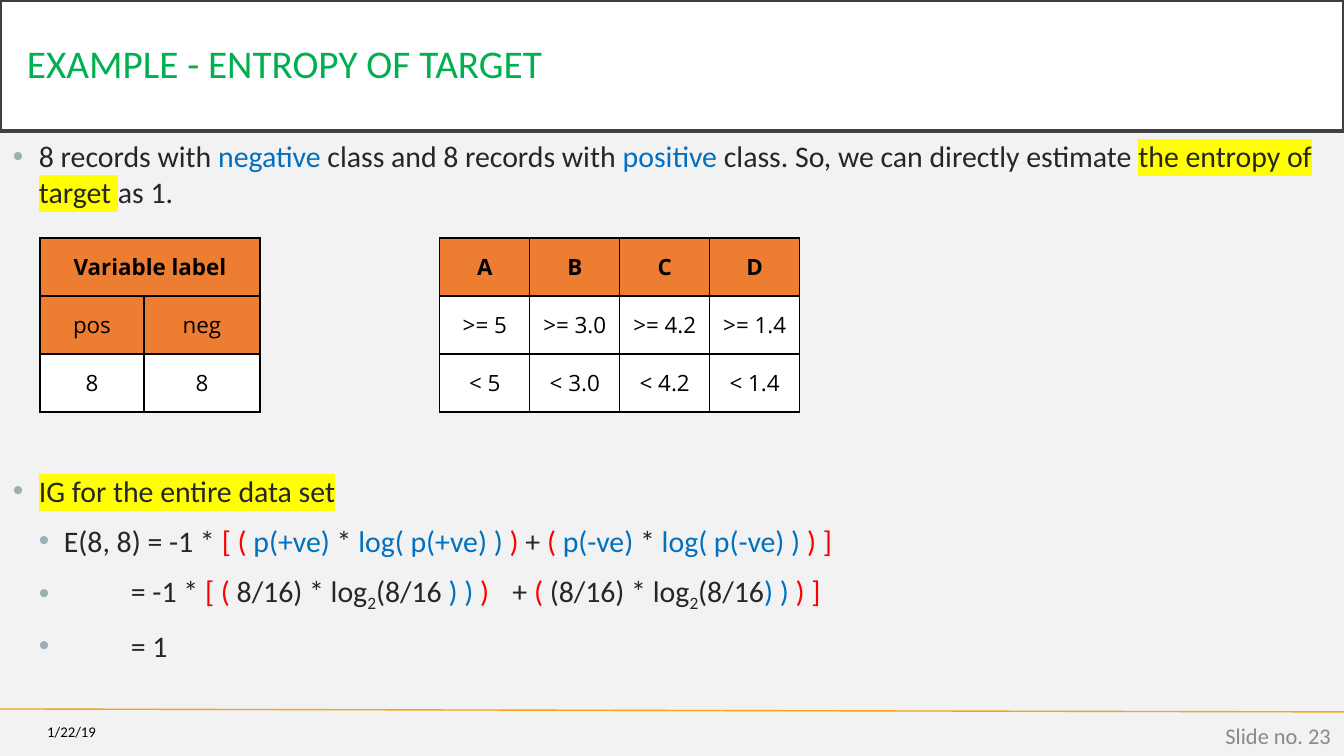
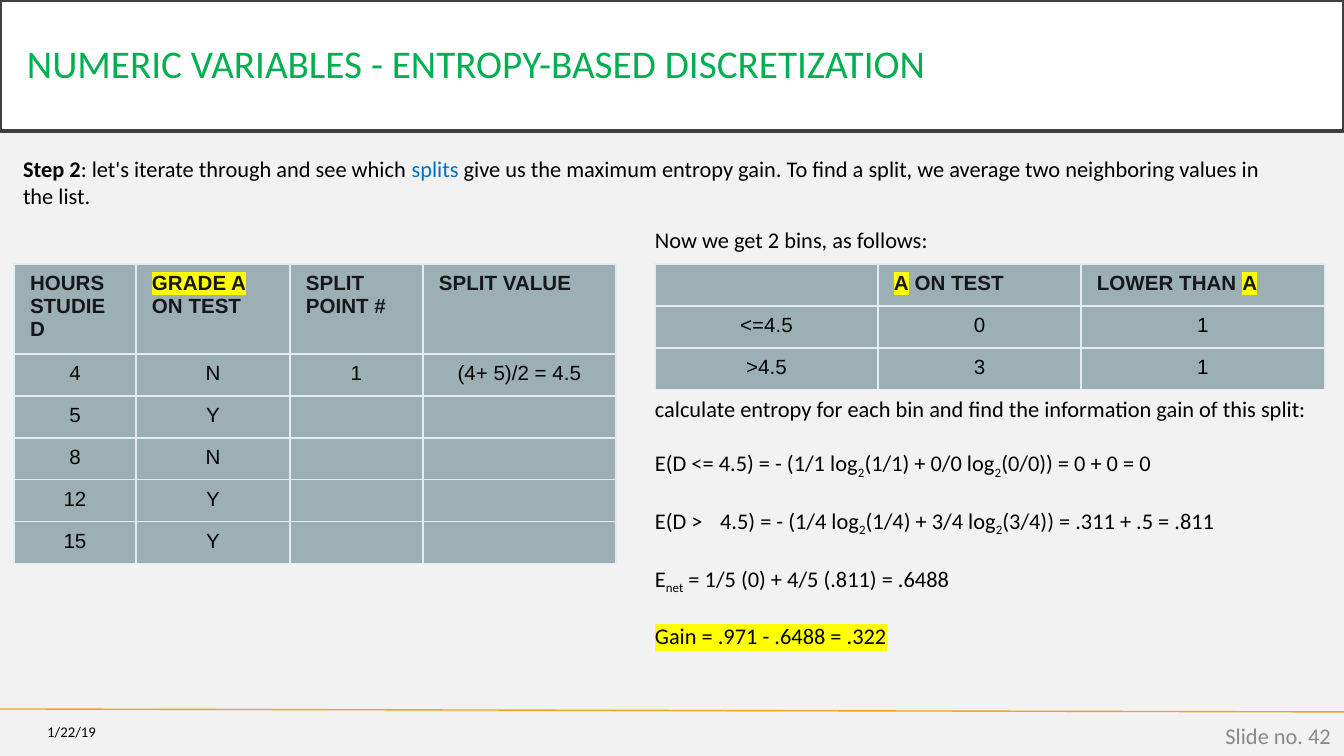
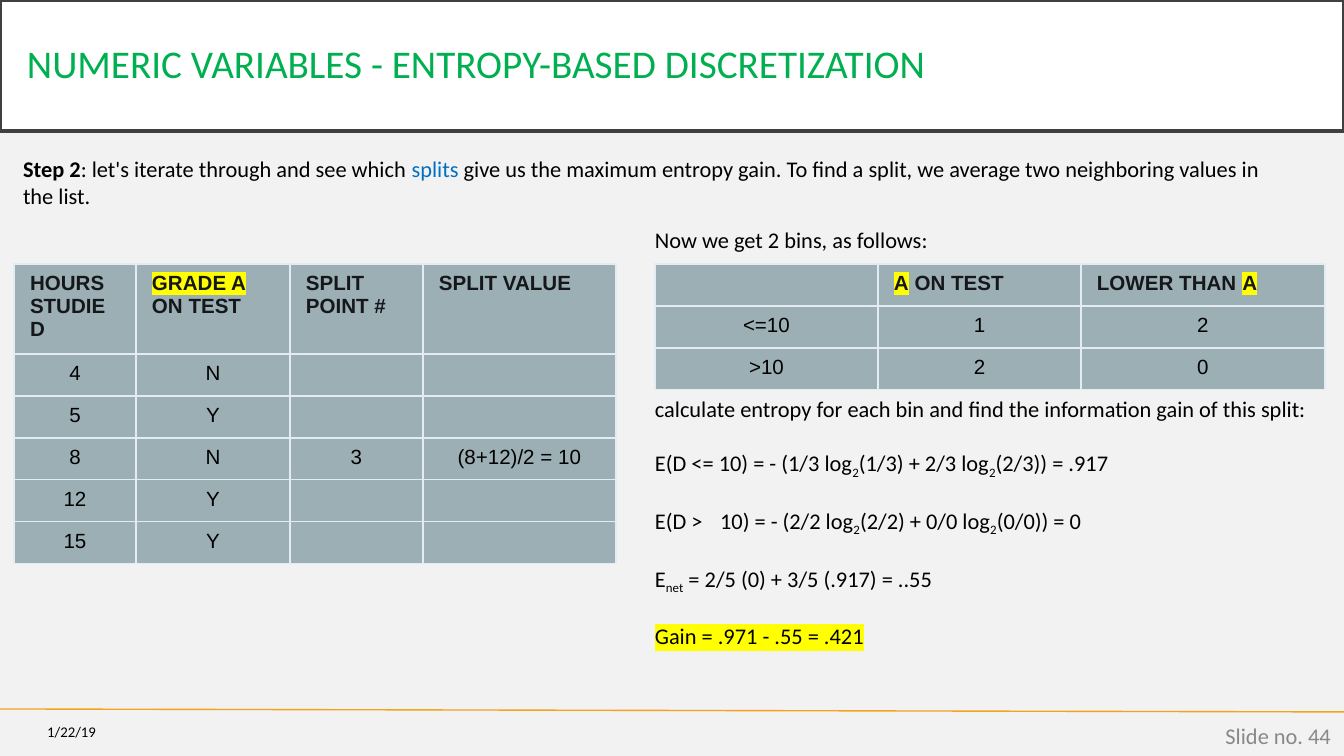
"""Build three slides on entropy and entropy-based discretization."""
from lxml.etree import SubElement
from pptx import Presentation
from pptx.dml.color import RGBColor
from pptx.enum.shapes import MSO_CONNECTOR
from pptx.enum.text import MSO_ANCHOR as ANCHOR, MSO_AUTO_SIZE, PP_ALIGN as ALIGN
from pptx.oxml.ns import qn
from pptx.util import Emu, Pt

PX = 914400 / 134.4
WIDTH, HEIGHT = 1344, 756
BACKGROUND = RGBColor(0xF2, 0xF2, 0xF2)
WHITE = RGBColor(0xFF, 0xFF, 0xFF)
BLACK = RGBColor(0, 0, 0)
GREEN = RGBColor(0x00, 0xB0, 0x50)
BLUE = RGBColor(0x00, 0x70, 0xC0)
RED = RGBColor(0xFF, 0, 0)
YELLOW = RGBColor(0xFF, 0xFF, 0)
CHARCOAL = RGBColor(0x26, 0x26, 0x26)
FRAME = RGBColor(0x40, 0x40, 0x40)
AMBER = RGBColor(0xF6, 0xA2, 0x1D)
GREY = RGBColor(0x88, 0x88, 0x88)
ORANGE = RGBColor(0xED, 0x7D, 0x31)
SLATE = RGBColor(0x9B, 0xAF, 0xB5)
HEADING = RGBColor(0x15, 0x17, 0x1A)
RULE = RGBColor(0xE3, 0xEC, 0xF3)
NO_STYLE = "{2D5ABB26-0587-4C30-8999-92F81FD0307C}"
RUN_COLORS = {"blue": BLUE, "red": RED}

DATE = "1/22/19"
SUB2 = ("2", "sub")
WIDE = (" ", "wide")

TARGET_TITLE = "EXAMPLE - ENTROPY OF TARGET"
TARGET_POINTS = [
    ["8 records with ", ("negative", "blue"), " class and 8 records with ", ("positive", "blue"),
     " class. So, we can directly estimate ", ("the entropy of target ", "mark"), "as 1."],
    [("IG for the entire data set", "mark")],
    ["E(8, 8) = -1 * ", ("[ ( ", "red"), ("p(+ve)", "blue"), " * ", ("log( p(+ve) ) ", "blue"),
     (") ", "red"), "+ ", ("( ", "red"), ("p(-ve) ", "blue"), "* ", ("log( p(-ve) ) ", "blue"),
     (") ]", "red")],
    ["= -1 * ", ("[ ( ", "red"), "8/16) * log", SUB2, "(8/16 ", (") ) ", "blue"), (")", "red"),
     WIDE, "+ ", ("( ", "red"), "(8/16) * log", SUB2, "(8/16", (") ) ", "blue"), (") ]", "red")],
    ["= 1"],
]
POINT_LAYOUT = [(26, 0, 0), (26, 0, 141), (51, 26, 7.5), (118, 26, 7.5), (118, 26, 7.5)]
TARGET_ROWS = [
    ["Variable label", "", None, None, "A", "B", "C", "D"],
    ["pos", "neg", None, None, ">= 5", ">= 3.0", ">= 4.2", ">= 1.4"],
    ["8", "8", None, None, "< 5", "< 3.0", "< 4.2", "< 1.4"],
]
TARGET_COLUMNS = [104, 116] + [90] * 6
ORANGE_CELLS = {(1, 0), (1, 1)}

SPLIT_TITLE = "NUMERIC VARIABLES - ENTROPY-BASED DISCRETIZATION"
STEP = [("Step 2", "bold"), ": let's iterate through and see which ", ("splits", "blue"),
        " give us the maximum entropy gain. To find a split, we average two neighboring values"
        " in the list."]
BINS_INTRO = "Now we get 2 bins, as follows:"
GAIN_INTRO = "calculate entropy for each bin and find the information gain of this split:"
GRADES = [("4", "N"), ("5", "Y"), ("8", "N"), ("12", "Y"), ("15", "Y")]
GRADE_HEADS = ["HOURS STUDIED", [("GRADE A", "mark"), " ON TEST"], "SPLIT POINT #", "SPLIT VALUE"]
BIN_HEADS = ["", [("A", "mark"), " ON TEST"], ["LOWER THAN ", ("A", "mark")]]
SPLITS = [
    {"number": 42, "hours": "4", "split": ("1", "(4+ 5)/2 = 4.5"),
     "bins": [["<=4.5", "0", "1"], [">4.5", "3", "1"]],
     "entropy": [
         ["E(D <= 4.5) = - (1/1 log", SUB2, "(1/1) + 0/0 log", SUB2, "(0/0)) = 0 + 0 = 0"],
         ["E(D >", WIDE, "4.5) = - (1/4 log", SUB2, "(1/4) + 3/4 log", SUB2,
          "(3/4)) = .311 + .5 = .811"],
         ["E", ("net", "sub"), " = 1/5 (0) + 4/5 (.811) = .6488"],
         [("Gain = .971 - .6488 = .322", "mark")]]},
    {"number": 44, "hours": "8", "split": ("3", "(8+12)/2 = 10"),
     "bins": [["<=10", "1", "2"], [">10", "2", "0"]],
     "entropy": [
         ["E(D <= 10) = - (1/3 log", SUB2, "(1/3) + 2/3 log", SUB2, "(2/3)) = .917"],
         ["E(D >", WIDE, "10) = - (2/2 log", SUB2, "(2/2) + 0/0 log", SUB2, "(0/0)) = 0"],
         ["E", ("net", "sub"), " = 2/5 (0) + 3/5 (.917) = ..55"],
         [("Gain = .971 - .55 = .421", "mark")]]},
]


def px(*lengths):
    return [Emu(round(length * PX)) for length in lengths]


def set_insets(owner, across, down):
    owner.margin_left = owner.margin_right = px(across)[0]
    owner.margin_top = owner.margin_bottom = px(down)[0]


def write_runs(paragraph, content, size, color, font="Calibri", bold=False):
    if not content:
        paragraph._p.get_or_add_endParaRPr().set("sz", str(round(size * 100)))
        return
    for part in [content] if isinstance(content, str) else content:
        words, style = (part, "") if isinstance(part, str) else part
        run = paragraph.add_run()
        run.text = words
        run.font.size = Pt(size)
        run.font.bold = bold or style == "bold"
        run.font.color.rgb = RUN_COLORS.get(style, color)
        properties = run._r.get_or_add_rPr()
        if style == "mark":
            highlight = SubElement(properties, qn("a:highlight"))
            SubElement(highlight, qn("a:srgbClr")).set("val", str(YELLOW))
        elif style == "sub":
            properties.set("baseline", "-25000")
        elif style == "wide":
            properties.set("spc", str(size * 55))
        run.font.name = font


def add_text(slide, place, paragraphs, size, color=BLACK, align=ALIGN.LEFT, anchor=ANCHOR.TOP, gap=0):
    frame = slide.shapes.add_textbox(*px(*place)).text_frame
    frame.word_wrap = True
    frame.vertical_anchor = anchor
    set_insets(frame, 13, 7)
    for index, content in enumerate(paragraphs):
        paragraph = frame.add_paragraph() if index else frame.paragraphs[0]
        paragraph.alignment = align
        paragraph.space_before = Pt(gap if index else 0)
        write_runs(paragraph, content, size, color)
    return frame


def add_bullet(paragraph, text_left, bullet_left, space):
    paragraph.space_before = Pt(space)
    properties = paragraph._p.get_or_add_pPr()
    margin, indent = px(text_left, bullet_left - text_left)
    properties.set("marL", str(margin))
    properties.set("indent", str(indent))
    tint = SubElement(properties, qn("a:buClr"))
    SubElement(tint, qn("a:srgbClr")).set("val", str(SLATE))
    SubElement(properties, qn("a:buFont")).set("typeface", "Arial")
    SubElement(properties, qn("a:buChar")).set("char", "•")


def add_grid(slide, left, top, columns, heights):
    place = px(left, top, sum(columns), sum(heights))
    table = slide.shapes.add_table(len(heights), len(columns), *place).table
    table.first_row = table.horz_banding = False
    table._tbl.tblPr[0].text = NO_STYLE
    for column, width in zip(table.columns, px(*columns)):
        column.width = width
    for row, height in zip(table.rows, px(*heights)):
        row.height = height
    return table


def format_cell(cell, fill, border, insets):
    set_insets(cell, *insets)
    properties = cell._tc.get_or_add_tcPr()
    for side in ("lnL", "lnR", "lnT", "lnB"):
        line = SubElement(properties, qn(f"a:{side}"), w=str(Pt(0.75)))
        solid = SubElement(line, qn("a:solidFill"))
        SubElement(solid, qn("a:srgbClr")).set("val", str(border))
    cell.fill.solid()
    cell.fill.fore_color.rgb = fill


def add_slate_table(slide, left, columns, heights, rows):
    table = add_grid(slide, left, 264, columns, heights)
    for r, row in enumerate(rows):
        for c, content in enumerate(row):
            cell = table.cell(r, c)
            format_cell(cell, SLATE, RULE, (16, 8))
            paragraph = cell.text_frame.paragraphs[0]
            paragraph.alignment = ALIGN.CENTER if r else ALIGN.LEFT
            write_runs(paragraph, content, 11, BLACK if r else HEADING, "Arial", r == 0)


def add_target_table(slide):
    table = add_grid(slide, 40, 238, TARGET_COLUMNS, [58] * 3)
    table.cell(0, 0).merge(table.cell(0, 1))
    for r, row in enumerate(TARGET_ROWS):
        for c, content in enumerate(row):
            cell = table.cell(r, c)
            paragraph = cell.text_frame.paragraphs[0]
            write_runs(paragraph, content, 12, BLACK, "Open Sans", r == 0)
            if content is None:
                continue
            fill = ORANGE if r == 0 or (r, c) in ORANGE_CELLS else WHITE
            format_cell(cell, fill, BLACK, (1, 13))
            cell.vertical_anchor = ANCHOR.MIDDLE
            paragraph.alignment = ALIGN.CENTER


def start_slide(deck, heading, number):
    slide = deck.slides.add_slide(deck.slide_layouts[5])
    rule = slide.shapes.add_connector(MSO_CONNECTOR.STRAIGHT, *px(0, 709, WIDTH, 712))
    rule.line.color.rgb = AMBER
    rule.line.width = Pt(0.75)
    SubElement(rule._element.spPr, qn("a:effectLst"))

    title = slide.shapes.title
    title.left, title.top, title.width, title.height = px(0, 0, WIDTH, 131)
    title.fill.solid()
    title.fill.fore_color.rgb = WHITE
    title.line.color.rgb = FRAME
    title.line.width = Pt(2.5)
    frame = title.text_frame
    frame.auto_size = MSO_AUTO_SIZE.NONE
    frame.vertical_anchor = ANCHOR.MIDDLE
    set_insets(frame, 27, 27)
    paragraph = frame.paragraphs[0]
    paragraph.alignment = ALIGN.LEFT
    paragraph.line_spacing = 0.9
    write_runs(paragraph, heading, 21, GREEN)

    add_text(slide, (0, 714, 109, 36), [DATE], 7.9, BLACK, ALIGN.RIGHT, ANCHOR.MIDDLE)
    add_text(slide, (1042, 716, 302, 40), [f"Slide no. {number}"], 12, GREY, ALIGN.RIGHT, ANCHOR.MIDDLE)
    return slide


def build_target_slide(deck):
    slide = start_slide(deck, TARGET_TITLE, 23)
    points = add_text(slide, (0, 131, WIDTH, 583), TARGET_POINTS, 16, CHARCOAL)
    for paragraph, layout in zip(points.paragraphs, POINT_LAYOUT):
        add_bullet(paragraph, *layout)
    add_target_table(slide)


def build_split_slide(deck, case):
    slide = start_slide(deck, SPLIT_TITLE, case["number"])
    add_text(slide, (10, 148, 1281, 95), [STEP], 12)
    grades = [(hours, grade, *(case["split"] if hours == case["hours"] else ("", "")))
              for hours, grade in GRADES]
    add_slate_table(slide, 14, [122, 154, 133, 193], [88] + [42] * 5, [GRADE_HEADS] + grades)
    add_text(slide, (642, 219, 320, 40), [BINS_INTRO], 12)
    add_slate_table(slide, 655, [223, 203, 244], [42] * 3, [BIN_HEADS] + case["bins"])
    add_text(slide, (642, 388, 690, 300), [GAIN_INTRO] + case["entropy"], 12, gap=14.6)


def main():
    deck = Presentation()
    deck.slide_width, deck.slide_height = px(WIDTH, HEIGHT)
    backdrop = deck.slide_master.background.fill
    backdrop.solid()
    backdrop.fore_color.rgb = BACKGROUND
    build_target_slide(deck)
    for case in SPLITS:
        build_split_slide(deck, case)
    deck.save("out.pptx")


if __name__ == "__main__":
    main()
